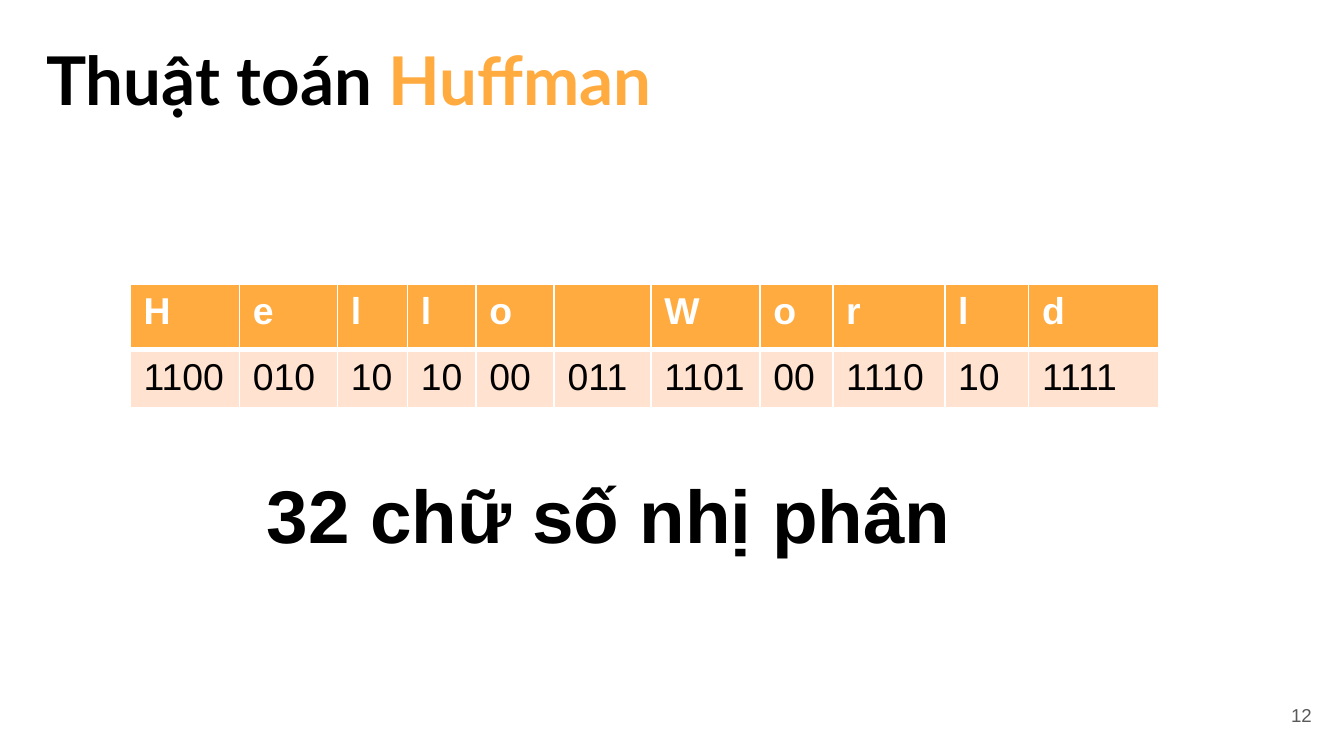
from lxml.etree import SubElement
from pptx import Presentation
from pptx.dml.color import RGBColor
from pptx.enum.text import MSO_ANCHOR, MSO_AUTO_SIZE, PP_ALIGN
from pptx.oxml.ns import qn
from pptx.util import Pt

PX = 9525
ORANGE = RGBColor(0xFF, 0xAB, 0x40)
PEACH = RGBColor(0xFF, 0xE2, 0xCF)
BLACK = RGBColor(0, 0, 0)
WHITE = RGBColor(0xFF, 0xFF, 0xFF)
GRAY = RGBColor(0x59, 0x59, 0x59)

MESSAGE = "Hello World"
CODES = {"H": "1100", "e": "010", "l": "10", "o": "00", " ": "011",
         "W": "1101", "r": "1110", "d": "1111"}
COLUMN_WIDTHS = [78, 70, 50, 49, 56, 69, 78, 52, 80, 60, 93]
ROW_HEIGHTS = [47, 41]


def style(font, size, color, bold=False, name="Arial"):
    font.size = Pt(size)
    font.color.rgb = color
    font.bold = bold
    font.name = name


def add_frame(slide, box, anchor=MSO_ANCHOR.MIDDLE):
    frame = slide.shapes.add_textbox(*(length * PX for length in box)).text_frame
    frame.word_wrap = True
    frame.vertical_anchor = anchor
    return frame


def set_even_margins(frame, margin):
    frame.margin_left = frame.margin_right = margin * PX
    frame.margin_top = frame.margin_bottom = margin * PX


def add_title(slide, box):
    frame = add_frame(slide, box)
    set_even_margins(frame, 10)
    for words, color in (("Thuật toán ", BLACK), ("Huffman", ORANGE)):
        run = frame.paragraphs[0].add_run()
        run.text = words
        style(run.font, 36, color, True, "Lato")


def add_total(slide, box):
    frame = add_frame(slide, box, MSO_ANCHOR.TOP)
    frame.auto_size = MSO_AUTO_SIZE.SHAPE_TO_FIT_TEXT
    total = frame.paragraphs[0]
    total.text = "32 chữ số nhị phân"
    style(total.font, 40, BLACK, True)


def add_page_number(slide, box):
    frame = add_frame(slide, box)
    set_even_margins(frame, 10)
    number = frame.paragraphs[0]
    number.text = "12"
    number.alignment = PP_ALIGN.RIGHT
    style(number.font, 10, GRAY)


def set_borders(cell, widths):
    properties = cell._tc.get_or_add_tcPr()
    for position, (side, width) in enumerate(widths.items()):
        border = properties.makeelement(qn(f"a:{side}"), {"w": str(Pt(width))})
        fill = SubElement(border, qn("a:solidFill"))
        SubElement(fill, qn("a:srgbClr"), val=str(WHITE))
        properties.insert(position, border)


def add_code_table(slide, left, top):
    size = sum(COLUMN_WIDTHS), sum(ROW_HEIGHTS)
    table = slide.shapes.add_table(
        len(ROW_HEIGHTS), len(COLUMN_WIDTHS),
        *(length * PX for length in (left, top, *size))).table
    for column, width in zip(table.columns, COLUMN_WIDTHS):
        column.width = width * PX
    for row, height in zip(table.rows, ROW_HEIGHTS):
        row.height = height * PX

    letters = [letter.strip() for letter in MESSAGE]
    codes = [CODES[letter] for letter in MESSAGE]
    rows = ((letters, ORANGE, WHITE, True, 1, 3), (codes, PEACH, BLACK, False, 3, 1))
    for row, (values, fill, color, bold, above, below) in zip(table.rows, rows):
        for cell, value in zip(row.cells, values):
            cell.text = value
            style(cell.text_frame.paragraphs[0].font, 20, color, bold)
            cell.fill.solid()
            cell.fill.fore_color.rgb = fill
            set_borders(cell, {"lnL": 1, "lnR": 1, "lnT": above, "lnB": below})


def main():
    presentation = Presentation()
    presentation.slide_width = 960 * PX
    presentation.slide_height = 540 * PX
    slide = presentation.slides.add_slide(presentation.slide_layouts[6])
    add_page_number(slide, (889, 490, 58, 41))
    add_title(slide, (23, 31, 895, 51))
    add_code_table(slide, 93, 203)
    add_total(slide, (181, 330, 543, 74))
    presentation.save("out.pptx")


if __name__ == "__main__":
    main()
